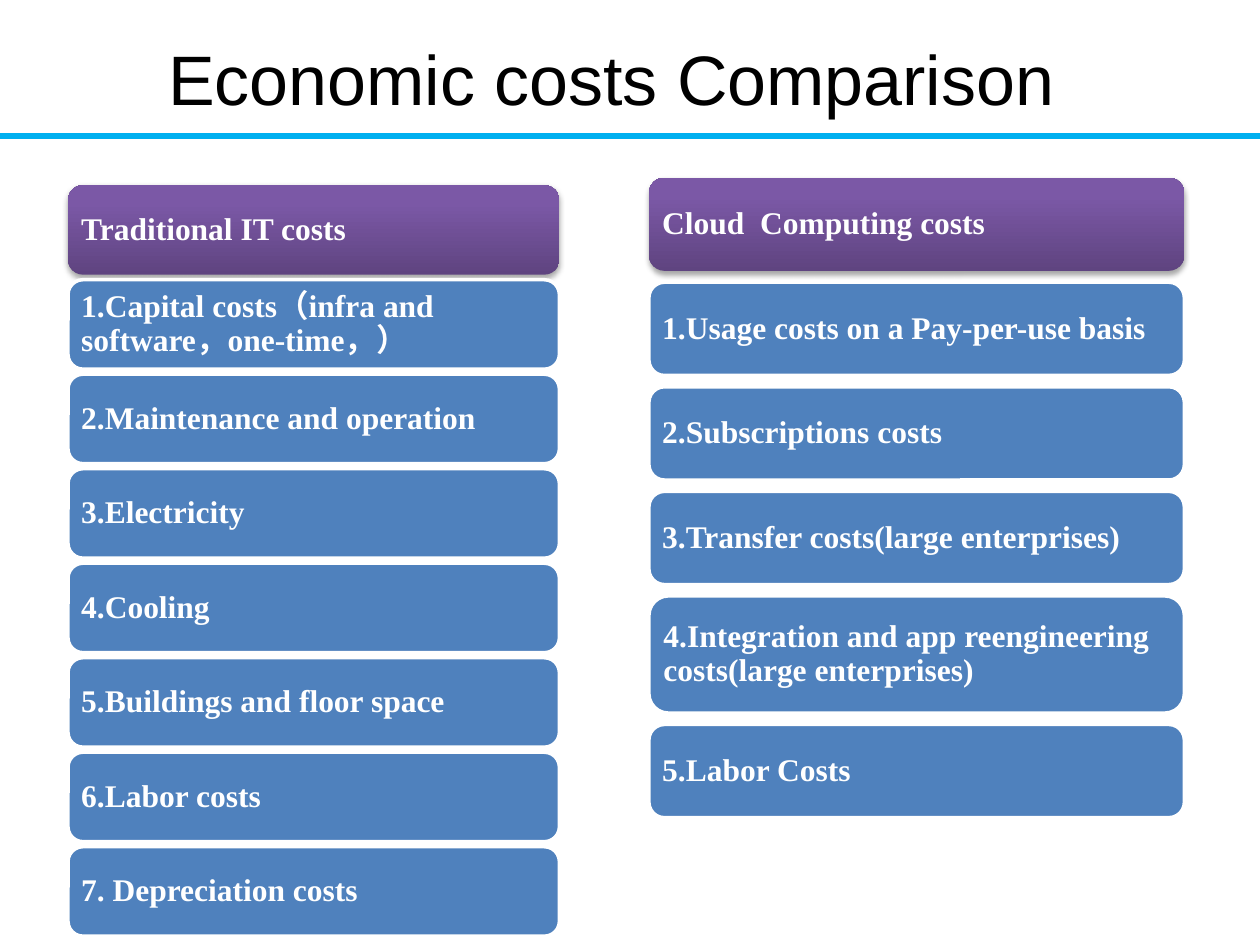
"""Build a slide that compares traditional IT costs with cloud computing costs."""
from copy import deepcopy
from dataclasses import dataclass

from lxml.etree import SubElement
from pptx import Presentation
from pptx.dml.color import RGBColor
from pptx.enum.shapes import MSO_CONNECTOR, MSO_SHAPE
from pptx.enum.text import MSO_ANCHOR, PP_ALIGN
from pptx.oxml.ns import qn
from pptx.shapes.autoshape import Shape
from pptx.slide import Slide
from pptx.util import Inches, Pt


@dataclass(frozen=True)
class Theme:
    title_font: str = "Arial"
    title_size: int = 40
    title_color: str = "000000"
    card_font: str = "Times New Roman"
    card_size: int = 18
    card_text: str = "FFFFFF"
    card_fill: str = "4F81BD"
    card_border: str = "FFFFFF"
    rule: str = "00B0F0"
    shadow: str = "000000"
    header_stops: tuple[tuple[float, str], ...] = (
        (0, "5F4480"), (0.8, "7B58A6"), (1, "7C57A8"))


@dataclass(frozen=True)
class Card:
    text: str
    height: float


@dataclass(frozen=True)
class CostColumn:
    left: float
    top: float
    width: float
    gap: float
    inset_y: float
    header: Card
    costs: tuple[Card, ...]


THEME = Theme()

TRADITIONAL = CostColumn(
    0.54, 1.47, 3.9, 0.04, 0.04, Card("Traditional IT costs", 0.71),
    tuple(Card(text, 0.71) for text in (
        "1.Capital costs（infra and software，one-time，）",
        "2.Maintenance and operation",
        "3.Electricity",
        "4.Cooling",
        "5.Buildings and floor space",
        "6.Labor costs",
        "7. Depreciation costs",
    )))

CLOUD = CostColumn(
    5.15, 1.41, 4.25, 0.09, 0.07, Card("Cloud  Computing costs", 0.74),
    (
        Card("1.Usage costs on a Pay-per-use basis", 0.74),
        Card("2.Subscriptions costs", 0.74),
        Card("3.Transfer costs(large enterprises)", 0.74),
        Card("4.Integration and app reengineering costs(large enterprises)", 0.93),
        Card("5.Labor Costs", 0.74),
    ))


def rgb(value: str) -> RGBColor:
    return RGBColor.from_string(value)


def style_header(header: Shape) -> None:
    header.line.fill.background()
    header.fill.gradient()
    header.fill.gradient_angle = 90
    properties = header.element.spPr
    stop_list = properties.find(".//" + qn("a:gsLst"))
    stop_list.append(deepcopy(stop_list[-1]))
    for stop, (position, color) in zip(header.fill.gradient_stops, THEME.header_stops):
        stop.position = position
        stop.color.rgb = rgb(color)
    effects = properties.find(qn("a:effectLst"))
    shadow = SubElement(effects, qn("a:outerShdw"), blurRad=str(Pt(3.1)),
                        dist=str(Pt(1.8)), dir="5400000", rotWithShape="0")
    color = SubElement(shadow, qn("a:srgbClr"), val=THEME.shadow)
    SubElement(color, qn("a:alpha"), val="35000")


def style_cost(cost: Shape) -> None:
    cost.fill.solid()
    cost.fill.fore_color.rgb = rgb(THEME.card_fill)
    cost.line.color.rgb = rgb(THEME.card_border)
    cost.line.width = Pt(2)


def add_card(slide: Slide, column: CostColumn, card: Card, top: float) -> Shape:
    box = slide.shapes.add_shape(
        MSO_SHAPE.ROUNDED_RECTANGLE, Inches(column.left), Inches(top),
        Inches(column.width), Inches(card.height))
    box.shadow.inherit = False
    frame = box.text_frame
    frame.word_wrap = True
    frame.vertical_anchor = MSO_ANCHOR.MIDDLE
    frame.margin_left = frame.margin_right = Inches(0.07)
    frame.margin_top = frame.margin_bottom = Inches(column.inset_y)
    frame.text = card.text
    paragraph = frame.paragraphs[0]
    paragraph.alignment = PP_ALIGN.LEFT
    paragraph.line_spacing = 0.9
    font = paragraph.runs[0].font
    font.name = THEME.card_font
    font.size = Pt(THEME.card_size)
    font.bold = True
    font.color.rgb = rgb(THEME.card_text)
    return box


def add_column(slide: Slide, column: CostColumn) -> None:
    style_header(add_card(slide, column, column.header, column.top))
    top = column.top + column.header.height + column.gap
    for card in column.costs:
        style_cost(add_card(slide, column, card, top))
        top += card.height + column.gap


def add_title(slide: Slide, text: str) -> None:
    title = slide.shapes.title
    title.left, title.top = Inches(0.35), Inches(0.08)
    title.width, title.height = Inches(9), Inches(1.07)
    frame = title.text_frame
    frame.text = text
    frame.vertical_anchor = MSO_ANCHOR.MIDDLE
    paragraph = frame.paragraphs[0]
    paragraph.alignment = PP_ALIGN.CENTER
    font = paragraph.runs[0].font
    font.name = THEME.title_font
    font.size = Pt(THEME.title_size)
    font.color.rgb = rgb(THEME.title_color)


def add_rule(slide: Slide) -> None:
    rule = slide.shapes.add_connector(
        MSO_CONNECTOR.STRAIGHT, 0, Inches(1.08), Inches(10), Inches(1.08))
    rule.line.color.rgb = rgb(THEME.rule)
    rule.line.width = Pt(3)
    SubElement(rule.element.spPr, qn("a:effectLst"))


def main() -> None:
    deck = Presentation()
    deck.slide_width, deck.slide_height = Inches(10), Inches(7.5)
    slide = deck.slides.add_slide(deck.slide_layouts[5])
    add_title(slide, "Economic costs Comparison")
    for column in (TRADITIONAL, CLOUD):
        add_column(slide, column)
    add_rule(slide)
    deck.save("out.pptx")


if __name__ == "__main__":
    main()
